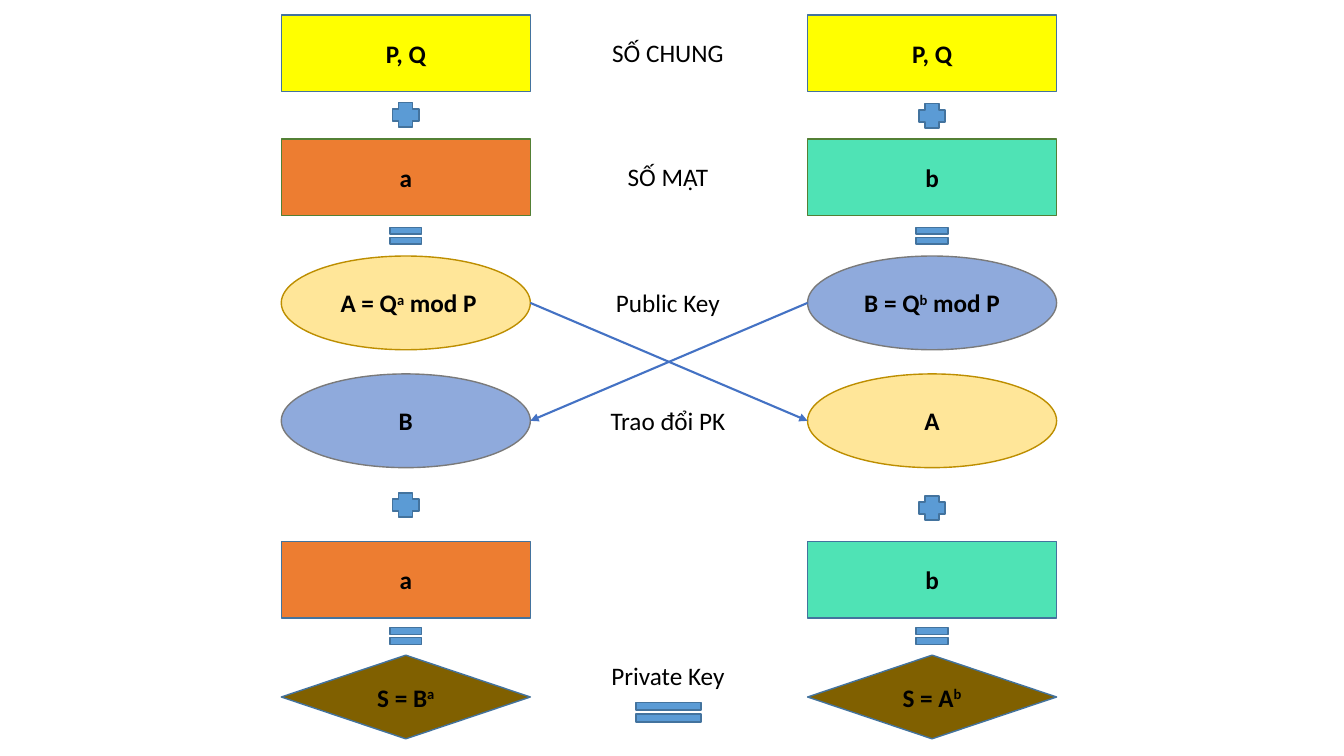
"""Build a slide showing the Diffie-Hellman key exchange between two parties."""
from lxml.etree import SubElement
from pptx import Presentation
from pptx.dml.color import RGBColor
from pptx.enum.shapes import MSO_CONNECTOR as Connector, MSO_SHAPE as Shape
from pptx.enum.text import MSO_ANCHOR as Anchor, PP_ALIGN as Align
from pptx.oxml.ns import qn
from pptx.util import Inches, Pt

COLORS = {
    "black": "000000", "yellow": "FFFF00", "orange": "ED7D31", "mint": "4FE3B5",
    "cream": "FFE699", "periwinkle": "8FAADC", "brown": "806000", "sign": "5B9BD5",
    "navy": "43739E", "green": "538035", "gold": "BD8E00", "gray": "7A7A7A",
    "arrow": "4472C4",
}
OUTLINES = {"cream": "gold", "periwinkle": "gray"}

# Each row: shape, top, height, then (text, fill) for each party; ^ marks superscripts.
ROWS = [
    (Shape.RECTANGLE, 0.15, 0.76, [("P, Q", "yellow"), ("P, Q", "yellow")], "navy"),
    (Shape.RECTANGLE, 1.38, 0.76, [("a", "orange"), ("b", "mint")], "green"),
    (Shape.OVAL, 2.54, 0.93,
     [(" A = Q^a^ mod P", "cream"), ("B = Q^b^ mod P", "periwinkle")], None),
    (Shape.OVAL, 3.71, 0.93, [("B", "periwinkle"), ("A", "cream")], None),
    (Shape.RECTANGLE, 5.37, 0.76, [("a", "orange"), ("b", "mint")], "navy"),
    (Shape.DIAMOND, 6.5, 0.83, [("S = B^a^", "brown"), ("S = A^b^", "brown")], "navy"),
]
SIGNS = [
    (Shape.CROSS, (1.02, 1.03), 0.26, 0.24),
    (Shape.MATH_EQUAL, (2.2, 2.2), 0.43, 0.28),
    (Shape.CROSS, (4.89, 4.92), 0.26, 0.24),
    (Shape.MATH_EQUAL, (6.17, 6.17), 0.43, 0.28),
]
LABELS = [("SỐ CHUNG", 0.32), ("SỐ MẬT", 1.55), ("Public Key", 2.8),
          ("Trao đổi PK", 3.97), ("Private Key", 6.5)]

COLUMN_LEFTS = (2.79, 8.01)
COLUMN_WIDTH = 2.47
LABEL_LEFT, LABEL_WIDTH, LABEL_HEIGHT = 5.66, 1.93, 0.4


def color(name):
    return RGBColor.from_string(COLORS[name])


def write(shape, text, size=18, bold=False, anchor=Anchor.MIDDLE):
    frame = shape.text_frame
    frame.word_wrap = True
    frame.vertical_anchor = anchor
    paragraph = frame.paragraphs[0]
    paragraph.alignment = Align.CENTER
    for index, part in enumerate(text.split("^")):
        if not part:
            continue
        run = paragraph.add_run()
        run.text = part
        run.font.name = "Calibri"
        run.font.size = Pt(size)
        run.font.bold = bold
        run.font.color.rgb = color("black")
        if index % 2:
            run.font._element.set("baseline", "30000")


def add_figure(slide, kind, left, top, width, height, fill="sign", outline="navy"):
    shape = slide.shapes.add_shape(
        kind, Inches(left), Inches(top), Inches(width), Inches(height))
    shape.shadow.inherit = False
    shape.fill.solid()
    shape.fill.fore_color.rgb = color(fill)
    shape.line.color.rgb = color(outline)
    shape.line.width = Pt(1)
    return shape


def add_arrow(slide, start, end):
    arrow = slide.shapes.add_connector(
        Connector.STRAIGHT, *(Inches(value) for value in (*start, *end)))
    arrow.line.color.rgb = color("arrow")
    arrow.line.width = Pt(1.5)
    SubElement(arrow.line._get_or_add_ln(), qn("a:tailEnd"), type="triangle")
    SubElement(arrow._element.spPr, qn("a:effectLst"))


def main():
    presentation = Presentation()
    presentation.slide_width = Inches(13.33)
    presentation.slide_height = Inches(7.5)
    slide = presentation.slides.add_slide(presentation.slide_layouts[6])

    for kind, top, height, cells, outline in ROWS:
        for left, (text, fill) in zip(COLUMN_LEFTS, cells):
            shape = add_figure(slide, kind, left, top, COLUMN_WIDTH, height,
                               fill, outline or OUTLINES[fill])
            write(shape, text, bold=True)

    for kind, tops, width, height in SIGNS:
        for left, top in zip(COLUMN_LEFTS, tops):
            center = left + COLUMN_WIDTH / 2
            add_figure(slide, kind, center - width / 2, top, width, height)

    public_y, received_y = (top + height / 2 for _, top, height, *_ in ROWS[2:4])
    inner_left, inner_right = COLUMN_LEFTS[0] + COLUMN_WIDTH, COLUMN_LEFTS[1]
    add_arrow(slide, (inner_right, public_y), (inner_left, received_y))
    add_arrow(slide, (inner_left, public_y), (inner_right, received_y))

    for text, top in LABELS:
        label = slide.shapes.add_textbox(
            Inches(LABEL_LEFT), Inches(top), Inches(LABEL_WIDTH), Inches(LABEL_HEIGHT))
        write(label, text, anchor=Anchor.TOP)
    add_figure(slide, Shape.MATH_EQUAL, 6.19, 6.9, 0.88, 0.33)

    presentation.save("out.pptx")


if __name__ == "__main__":
    main()
